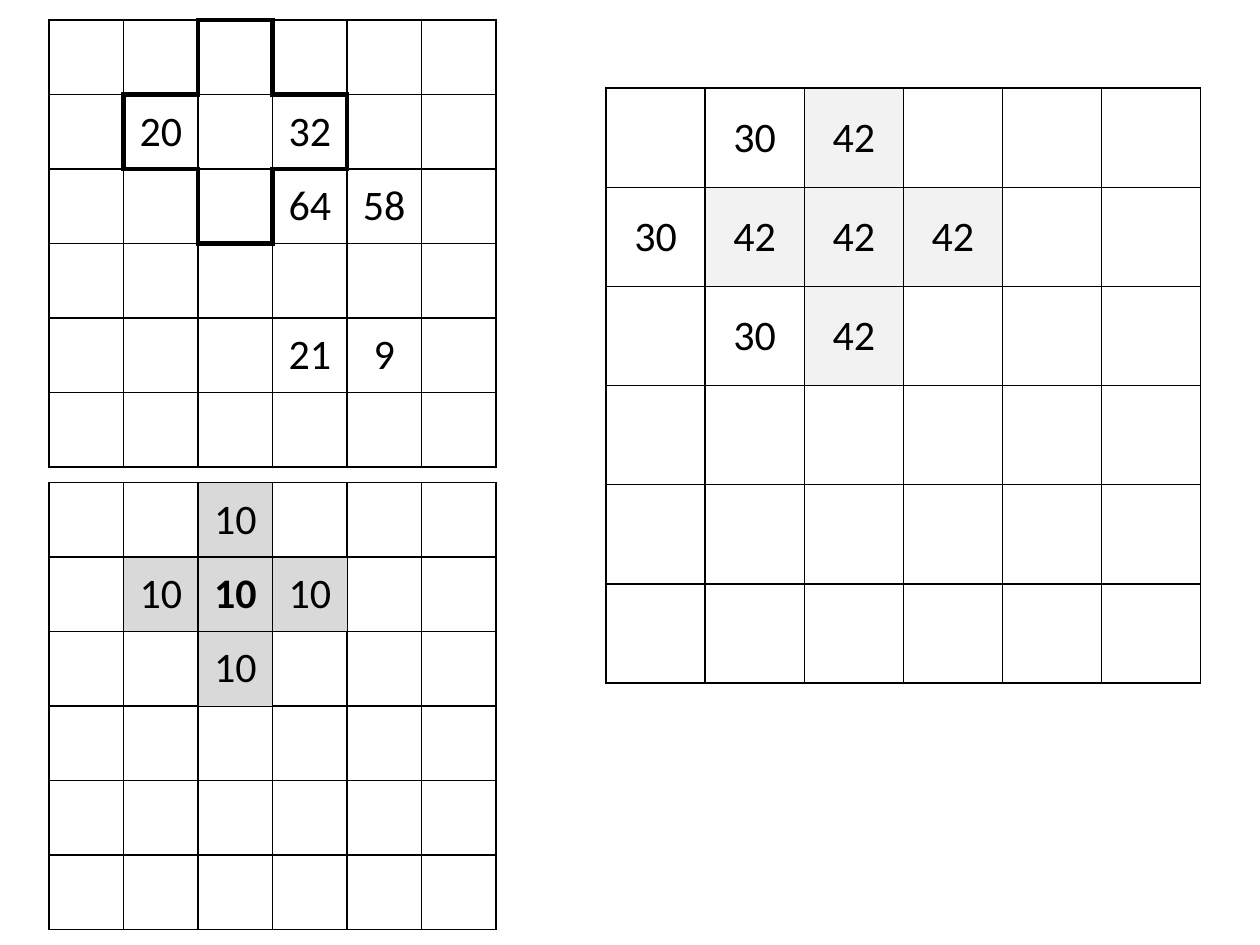
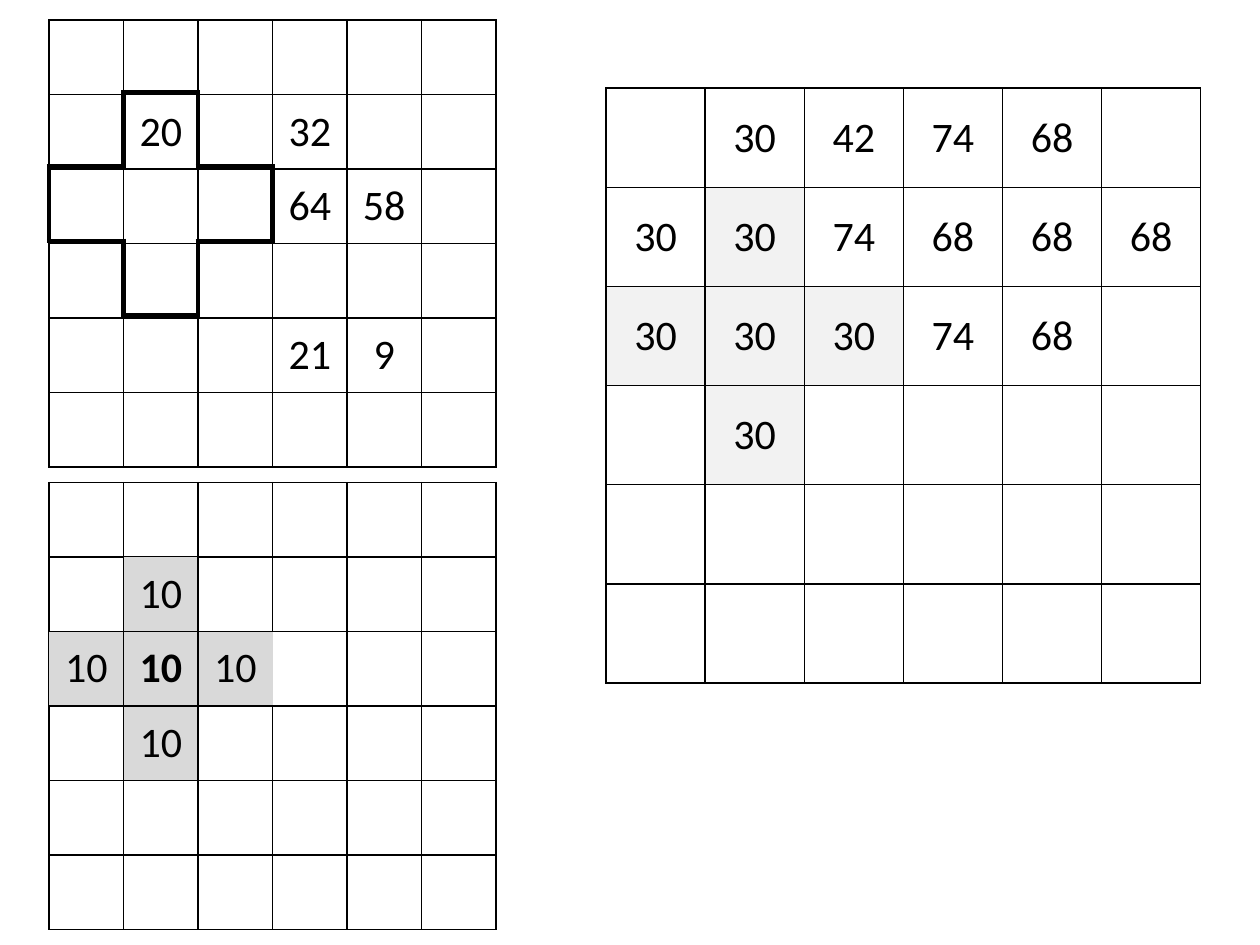
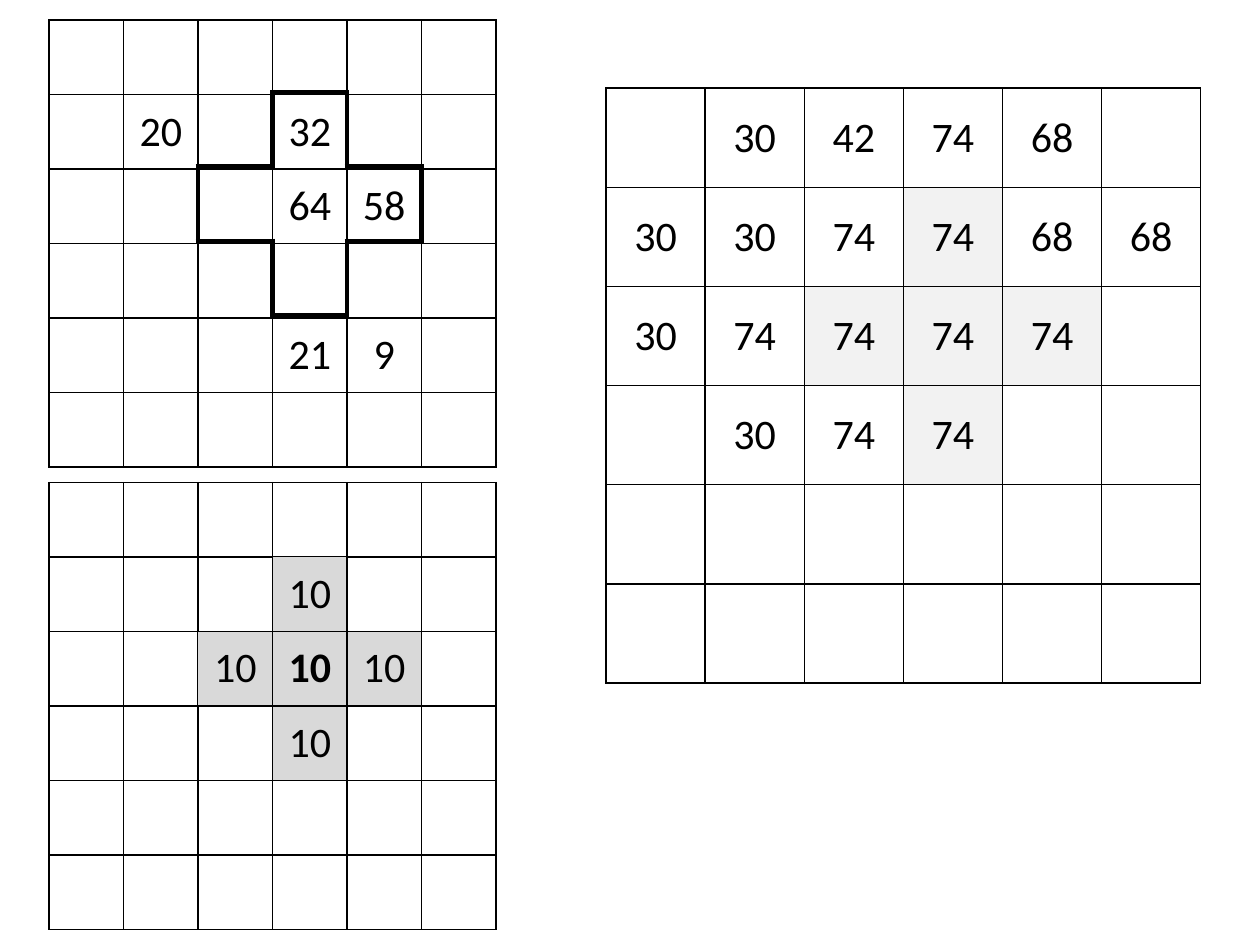
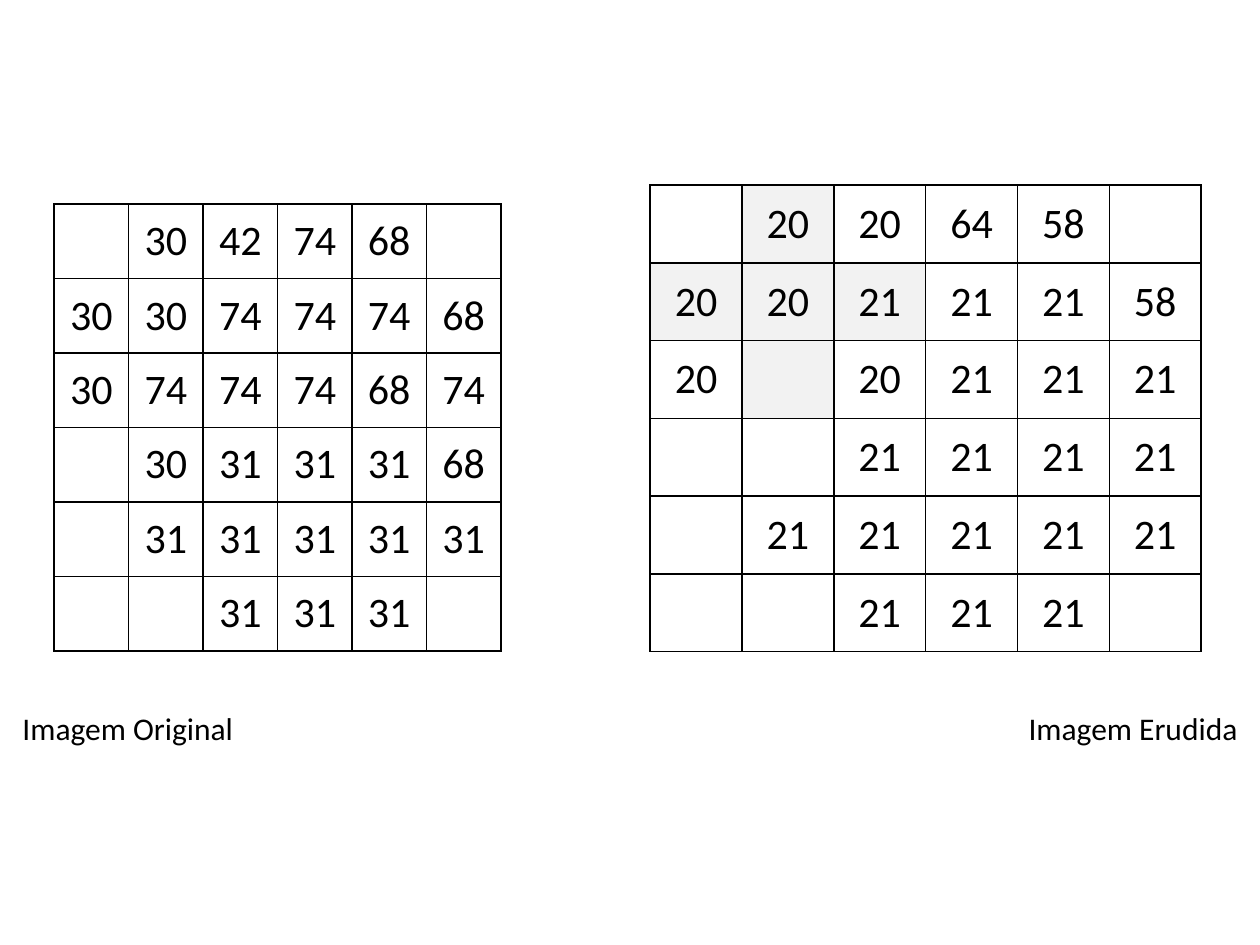
from lxml import etree
from pptx import Presentation
from pptx.dml.color import RGBColor
from pptx.enum.text import MSO_ANCHOR, MSO_AUTO_SIZE, PP_ALIGN
from pptx.oxml.ns import qn
from pptx.util import Inches, Pt

LEFT, CENTER, RIGHT = PP_ALIGN.LEFT, PP_ALIGN.CENTER, PP_ALIGN.RIGHT
MIDDLE = MSO_ANCHOR.MIDDLE
GROW = MSO_AUTO_SIZE.SHAPE_TO_FIT_TEXT

BLACK = RGBColor(0x00, 0x00, 0x00)
GREY = RGBColor(0xD9, 0xD9, 0xD9)
PALE = RGBColor(0xF2, 0xF2, 0xF2)
FONT = "Calibri"
PLAIN = "{2D5ABB26-0587-4C30-8999-92F81FD0307C}"  # table style without lines

# The slide is a grid of 100 columns by 75 rows
COLS, ROWS = 100, 75
SMALL, LARGE = 5.91, 7.87  # cell sides
THIN, THICK = 1, 3         # line widths in points
SIDES = {"L": (0, -1), "R": (0, 1), "T": (-1, 0), "B": (1, 0)}


def cross(row, col):
    """Cells of the plus-shaped kernel centred on a cell."""
    return {(row, col)} | {(row + y, col + x) for y, x in SIDES.values()}


PLUS = cross(1, 1)


# Line rules: width of the edge between a cell and its neighbour
def all_lines(cell, near):
    return THIN


def inner_lines(cell, near):
    return THIN if all(0 <= n < 3 for n in near) else 0


def plus_lines(cell, near):
    return THICK if (cell in PLUS) != (near in PLUS) else 0


class Deck:
    def __init__(self):
        self.show = Presentation()
        self.show.slide_width = Inches(10)
        self.show.slide_height = Inches(7.5)
        self.slide = None

    def page(self):
        self.slide = self.show.slides.add_slide(self.show.slide_layouts[6])

    def box(self, left, top, wide, high):
        x, y = self.show.slide_width / COLS, self.show.slide_height / ROWS
        return [round(n) for n in (left * x, top * y, wide * x, high * y)]

    def run(self, para, text, size, align, bold=False):
        para.alignment = align
        run = para.add_run()
        run.text = text
        run.font.name, run.font.size, run.font.bold = FONT, Pt(size), bold
        run.font.color.rgb = BLACK

    def edge(self, cell, side, width):
        line = etree.SubElement(cell._tc.get_or_add_tcPr(), qn("a:ln" + side))
        if not width:
            etree.SubElement(line, qn("a:noFill"))
            return
        line.set("w", str(Pt(width)))
        fill = etree.SubElement(line, qn("a:solidFill"))
        etree.SubElement(fill, qn("a:srgbClr")).set("val", str(BLACK))

    def table(self, left, top, text, wide=SMALL, high=SMALL, rule=all_lines,
              shade=(), tint=PALE, bold=None):
        """Draw rows of words; a dot stands for an empty cell."""
        rows = [line.split() for line in text.strip().splitlines()]
        down, over = len(rows), len(rows[0])
        frame = self.slide.shapes.add_table(
            down, over, *self.box(left, top, over * wide, down * high))
        table = frame.table
        table.first_row = table.horz_banding = False
        next(frame._element.iter(qn("a:tableStyleId"))).text = PLAIN
        for r, row in enumerate(rows):
            for c, word in enumerate(row):
                cell = table.cell(r, c)
                for side, (y, x) in SIDES.items():
                    self.edge(cell, side, rule((r, c), (r + y, c + x)))
                if (r, c) in shade:
                    cell.fill.solid()
                    cell.fill.fore_color.rgb = tint
                else:
                    cell.fill.background()
                cell.vertical_anchor = MIDDLE
                if word != ".":
                    self.run(cell.text_frame.paragraphs[0], word, 24, CENTER,
                             (r, c) == bold)

    def label(self, left, top, wide, text, align):
        frame = self.slide.shapes.add_textbox(
            *self.box(left, top, wide, 4)).text_frame
        frame.word_wrap = True
        frame.auto_size = GROW
        self.run(frame.paragraphs[0], text, 18, align)

    def step(self, row, col, result):
        """One dilation step with the kernel centred on a cell."""
        self.page()
        left, top, low = 3.9, 1.6, 38.3
        x, y = left + (col - 1) * SMALL, (row - 1) * SMALL
        nudge = 0.2 if row > 1 else 0
        # Result so far
        self.table(48.1, 7, result, LARGE, LARGE, shade=cross(row, col))
        # Kernel on an empty grid
        self.table(left, low, EMPTY)
        self.table(x, low + y, KERNEL, rule=inner_lines, shade=PLUS,
                   tint=GREY, bold=(1, 1))
        # Input with the kernel outline
        self.table(left, top, INPUT)
        self.table(x, top + y - nudge, HOLLOW, rule=plus_lines)


EMPTY = ". . . . . .\n" * 6
HOLLOW = ". . .\n" * 3
KERNEL = """
.  10 .
10 10 10
.  10 .
"""
INPUT = """
. .  . .  .  .
. 20 . 32 .  .
. .  . 64 58 .
. .  . .  .  .
. .  . 21 9  .
. .  . .  .  .
"""
FIRST = """
.  30 42 .  . .
30 42 42 42 . .
.  30 42 .  . .
.  .  .  .  . .
.  .  .  .  . .
.  .  .  .  . .
"""
SECOND = """
.  30 42 74 68 .
30 30 74 68 68 68
30 30 30 74 68 .
.  30 .  .  .  .
.  .  .  .  .  .
.  .  .  .  .  .
"""
THIRD = """
.  30 42 74 68 .
30 30 74 74 68 68
30 74 74 74 74 .
.  30 74 74 .  .
.  .  .  .  .  .
.  .  .  .  .  .
"""
DILATED = """
.  30 42 74 68 .
30 30 74 74 74 68
30 74 74 74 68 74
.  30 31 31 31 68
.  31 31 31 31 31
.  .  31 31 31 .
"""
ERODED = """
.  20 20 64 58 .
20 20 21 21 21 58
20 .  20 21 21 21
.  .  21 21 21 21
.  21 21 21 21 21
.  .  21 21 21 .
"""


def main():
    deck = Deck()
    # Dilation steps
    for row, col, result in ((1, 2, FIRST), (2, 1, SECOND), (2, 3, THIRD)):
        deck.step(row, col, result)
    # Erosion
    deck.page()
    deck.table(51.6, 14.7, ERODED, 7.29, 6.17, shade=cross(1, 1))
    deck.table(4.3, 16.2, DILATED)
    deck.label(0.8, 55.8, 21.9, "Imagem Original", LEFT)
    deck.label(73.7, 55.8, 25.5, "Imagem Erudida", RIGHT)
    deck.show.save("out.pptx")


if __name__ == "__main__":
    main()
